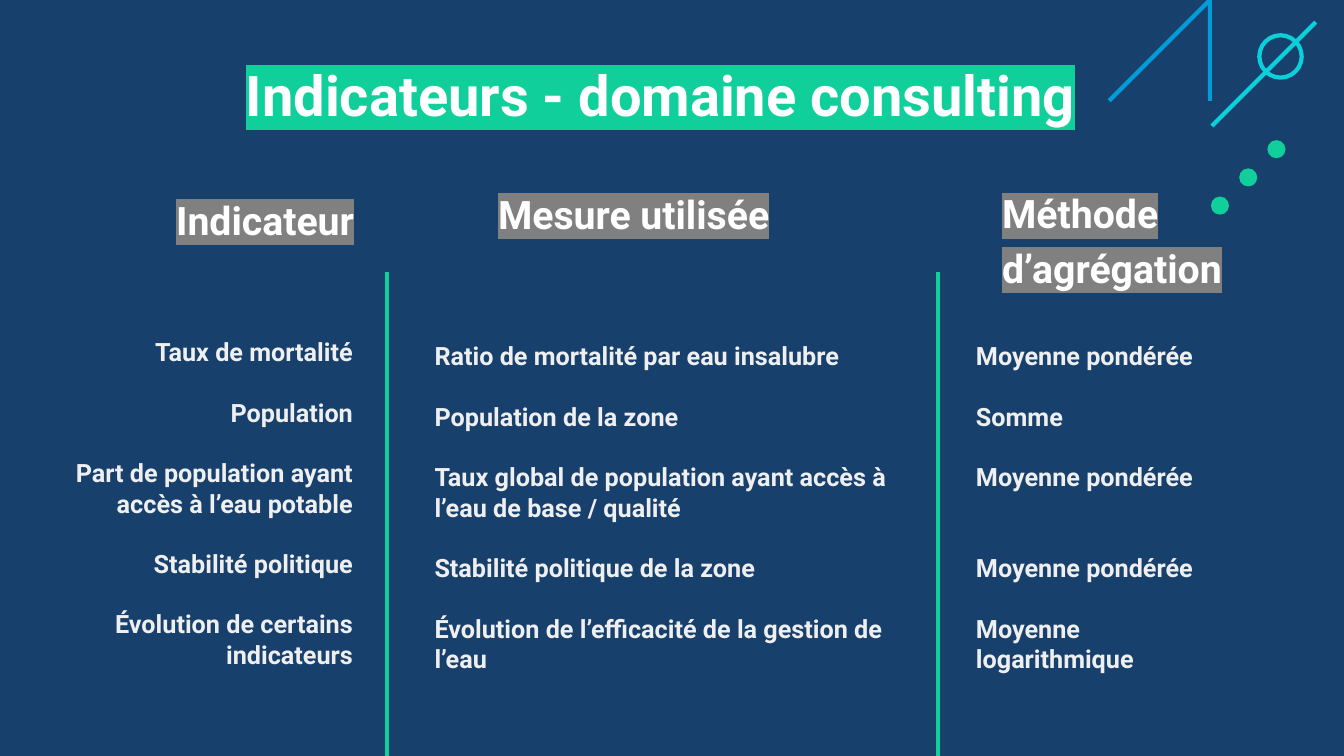
from math import cos, sin, radians
from lxml import etree
from pptx import Presentation
from pptx.dml.color import RGBColor
from pptx.enum.shapes import MSO_CONNECTOR, MSO_SHAPE
from pptx.enum.text import MSO_ANCHOR, PP_ALIGN
from pptx.oxml.ns import qn
from pptx.util import Inches, Pt

LEFT, RIGHT, CENTER = PP_ALIGN.LEFT, PP_ALIGN.RIGHT, PP_ALIGN.CENTER
TOP, MIDDLE = MSO_ANCHOR.TOP, MSO_ANCHOR.MIDDLE
OVAL, STRAIGHT = MSO_SHAPE.OVAL, MSO_CONNECTOR.STRAIGHT

# Content: \v is a line break inside a cell
TITLE = "Indicateurs - domaine consulting"
HEADS = ["Indicateur", "Mesure utilisée", "Méthode d’agrégation"]
ROWS = [
    ("Taux de mortalité", "Ratio de mortalité par eau insalubre",
     "Moyenne pondérée"),
    ("Population", "Population de la zone", "Somme"),
    ("Part de population ayant\vaccès à l’eau potable",
     "Taux global de population ayant accès à\vl’eau de base / qualité",
     "Moyenne pondérée"),
    ("Stabilité politique", "Stabilité politique de la zone",
     "Moyenne pondérée"),
    ("Évolution de certains\vindicateurs",
     "Évolution de l’efficacité de la gestion de\vl’eau",
     "Moyenne\vlogarithmique"),
]

# Style
COLORS = {"back": "17406D", "green": "10CF9B", "blue": "009DD9",
          "cyan": "0BD0D9", "white": "FFFFFF", "pale": "EFEFEF",
          "gray": "808080"}
FONT = "Roboto"
WIDE, HIGH = 13.33, 7.5
PAD = 0.13
LINE = 21.6   # height of a body line, points
STROKE = 3

# Columns: alignment, heading box, body box (left, top, width, height)
COLS = [
    (RIGHT, (0.52, 1.95, 3.12, 0.4), (0.52, 3.21, 3.11, 3.6)),
    (LEFT, (4.81, 1.89, 3.46, 0.4), (4.18, 3.25, 4.86, 3.6)),
    (LEFT, (9.81, 2.15, 2.8, 0.4), (9.55, 3.25, 2.9, 3.6)),
]
RULES = [3.84, 9.3]

deck = Presentation()
deck.slide_width, deck.slide_height = Inches(WIDE), Inches(HIGH)
slide = deck.slides.add_slide(deck.slide_layouts[6])
shapes = slide.shapes


def color(name):
    return RGBColor.from_string(COLORS[name])


def paint(fill, name):
    fill.solid()
    fill.fore_color.rgb = color(name)


def add_text(box, texts, align, size, ink, mark=None, anchor=TOP,
             space=None, gaps=None):
    frame = shapes.add_textbox(*map(Inches, box)).text_frame
    look = {"word_wrap": True, "vertical_anchor": anchor}
    look.update((f"margin_{side}", Inches(PAD))
                for side in ("left", "top", "right", "bottom"))
    for key, val in look.items():
        setattr(frame, key, val)
    for i, text in enumerate(texts):
        para = frame.add_paragraph() if i else frame.paragraphs[0]
        para.text = text
        form = {"alignment": align, "line_spacing": space,
                "space_after": Pt(gaps[i]) if gaps else None}
        for key, val in form.items():
            setattr(para, key, val)
        for run in para.runs:
            for key, val in {"size": Pt(size), "bold": True,
                             "name": FONT}.items():
                setattr(run.font, key, val)
            paint(run.font.fill, ink)
            if mark:
                light = etree.Element(qn("a:highlight"))
                etree.SubElement(light, qn("a:srgbClr"), val=COLORS[mark])
                run.font._element.find(qn("a:solidFill")).addnext(light)


def add_line(x1, y1, x2, y2, name):
    line = shapes.add_connector(STRAIGHT, *map(Inches, (x1, y1, x2, y2)))
    line.line.width = Pt(STROKE)
    paint(line.line.fill, name)
    etree.SubElement(line._element.spPr, qn("a:effectLst"))


def add_disc(x, y, size, name, hollow=False):
    disc = shapes.add_shape(OVAL, *map(Inches, (x - size / 2, y - size / 2,
                                                size, size)))
    disc.shadow.inherit = False
    if hollow:
        disc.fill.background()
        disc.line.width = Pt(STROKE)
        paint(disc.line.fill, name)
    else:
        paint(disc.fill, name)
        disc.line.fill.background()


def add_hook(x, y, radius, leg, name):
    """Half circle opening to the lower left, with two straight legs."""
    bend = [(x + radius * cos(radians(a)), y + radius * sin(radians(a)))
            for a in range(-135, 46, 5)]
    ends = [(px - leg, py + leg) for px, py in (bend[0], bend[-1])]
    pen = shapes.build_freeform(*ends[0], scale=Inches(1))
    pen.add_line_segments(bend + [ends[1]], close=False)
    hook = pen.convert_to_shape()
    hook.shadow.inherit = False
    hook.fill.background()
    hook.line.width = Pt(STROKE)
    paint(hook.line.fill, name)


# Background and corner ornaments
paint(slide.background.fill, "back")
add_hook(11.76, 0.47, 0.22, 0.25, "blue")
for i in range(3):
    add_disc(12.66 - 0.28 * i, 1.48 + 0.28 * i, 0.18, "green")
add_line(12.02, 1.25, 13.05, 0.22, "cyan")
add_disc(12.7, 0.56, 0.42, "cyan", hollow=True)

# Title and column rules
add_text((0.92, 0.47, 11.26, 0.58), [TITLE], CENTER, 40, "white", "green")
for x in RULES:
    add_line(x, 2.7, x, HIGH, "green")

# Columns: a short cell gets a larger gap, so that rows stay level
tall = [max(cell.count("\v") for cell in row) for row in ROWS]
for head, cells, (align, top, body) in zip(HEADS, zip(*ROWS), COLS):
    add_text(top, [head], align, 28, "white", "gray", MIDDLE, 1.15)
    gaps = [LINE * (1 + most - cell.count("\v"))
            for most, cell in zip(tall, cells)]
    add_text(body, cells, align, 18, "pale", gaps=gaps)

deck.save("out.pptx")
